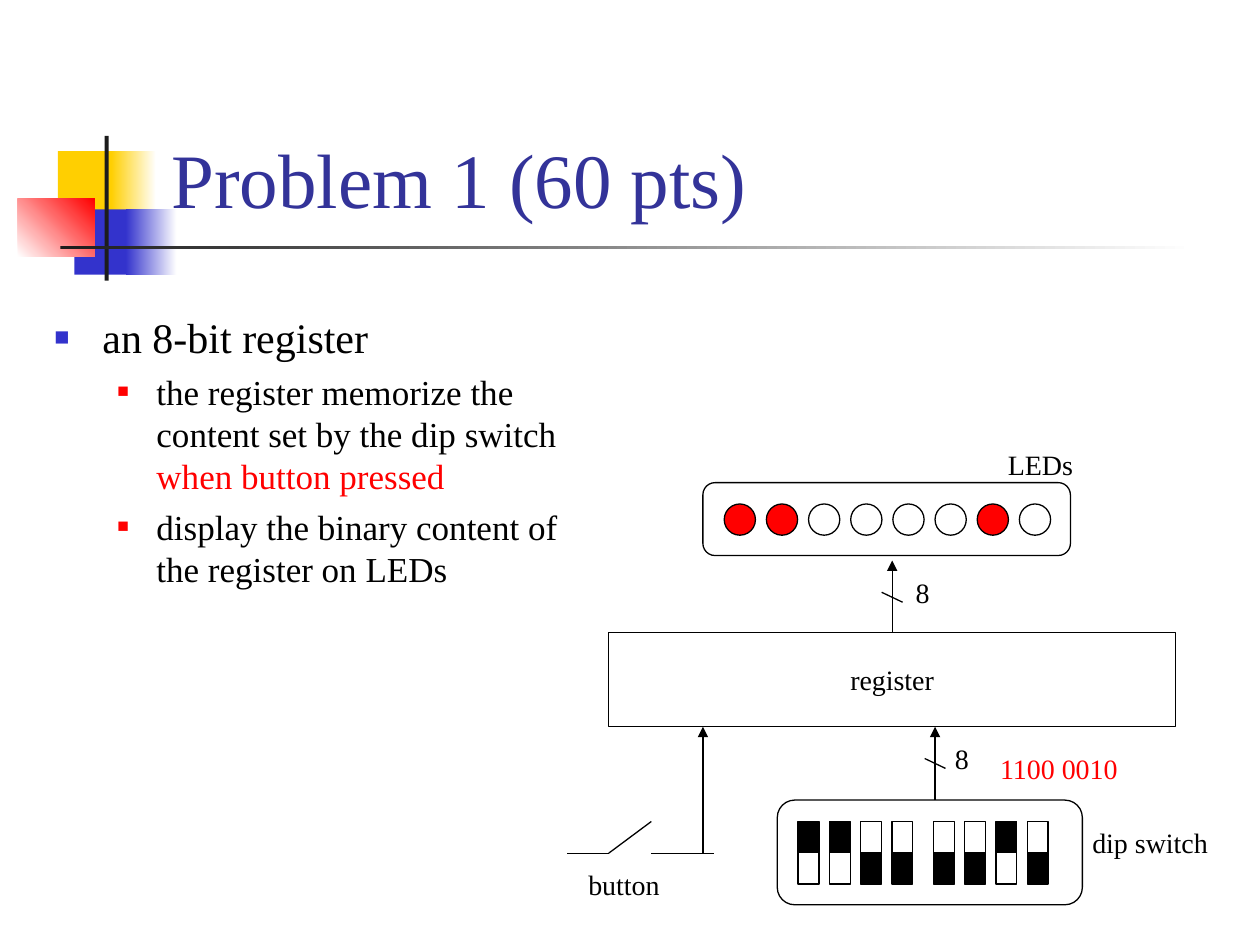
from lxml.etree import SubElement
from pptx import Presentation
from pptx.dml.color import RGBColor
from pptx.enum.shapes import MSO_CONNECTOR, MSO_SHAPE
from pptx.enum.text import MSO_ANCHOR, MSO_AUTO_SIZE, PP_ALIGN
from pptx.oxml.ns import qn
from pptx.util import Cm, Pt

THEME = {
    "font": "Times New Roman",
    "title": 44, "bullets": (24, 20), "label": 16, "line": 0.75,
    "black": "000000", "white": "FFFFFF", "red": "FF0000", "ink": "1C1C1C",
    "blue": "3333CC", "yellow": "FFCF01", "heading": "333399",
}

# Content
TITLE = "Problem 1 (60 pts)"
BULLETS = [  # level, (text, colour) spans
    (0, [("an 8-bit register", "black")]),
    (1, [("the register memorize the content set by the dip switch ", "black"),
         ("when button pressed", "red")]),
    (1, [("display the binary content of the register on LEDs", "black")]),
]
BULLET_STYLE = [  # colour, size %, indent, hanging, space before
    ("blue", 60, 0.97, 0.97, 0),
    ("red", 55, 2.06, 0.79, 5),
]
BITS = "11000010"
LABELS = [  # text, left, top, width, colour
    ("8", 19, 14.83, 0.9, "black"),
    ("8", 18.21, 11.48, 0.9, "black"),
    ("dip switch", 21.77, 16.51, 3.05, "black"),
    ("button", 11.61, 17.36, 2.1, "black"),
    ("LEDs", 20.07, 8.89, 2, "black"),
    ("1100 0010", 19.91, 15.03, 3.05, "red"),
]

# Geometry in centimetres
ORNAMENT = [  # left, top, width, height, colour(s), angle
    (1.17, 3.05, 1.22, 1.32, ["yellow"], 0),
    (2.24, 3.05, 0.91, 1.32, ["yellow", "white"], 0),
    (1.5, 4.22, 1.17, 1.32, ["blue"], 0),
    (2.54, 4.22, 1.02, 1.32, ["blue", "white"], 0),
    (0.36, 4.01, 1.55, 1.17, ["white", "red"], 45),
    (2.11, 2.74, 0.08, 2.92, ["ink"], 0),
    (1.22, 4.95, 22.86, 0.08, ["ink", "white"], 0),
]
REGISTER = (12.27, 12.75, 11.43, 1.9)
REGISTER_BOTTOM = REGISTER[1] + REGISTER[3]
LED_PANEL = (14.17, 9.73, 7.41, 1.47)
DIP_PANEL = (15.67, 16.13, 6.15, 2.11)
LED_LEFT, LED_TOP, LED_SIZE, LED_PITCH = 14.6, 10.16, 0.63, 0.85
SWITCH_LEFT, SWITCH_TOP, SWITCH_WIDTH, SWITCH_HALF = 16.09, 16.56, 0.42, 0.63
DIP_WIRE_X, BUTTON_WIRE_X, BUTTON_Y = 18.85, 14.17, 17.2
BUTTON_LINES = [
    (11.43, BUTTON_Y, 12.27, BUTTON_Y),
    (12.27, BUTTON_Y, 13.13, 16.56),
    (13.13, BUTTON_Y, 14.4, BUTTON_Y),
]


def colour(name):
    return RGBColor.from_string(THEME[name])


def style(span, size, name):
    span.font.name = THEME["font"]
    span.font.size = Pt(size)
    span.font.color.rgb = colour(name)


def place(shape, left, top, width, height):
    shape.left, shape.top = Cm(left), Cm(top)
    shape.width, shape.height = Cm(width), Cm(height)


def add_box(page, kind, at, fill=None, line="black"):
    box = page.shapes.add_shape(kind, *map(Cm, at))
    box.shadow.inherit = False
    if fill:
        box.fill.solid()
        box.fill.fore_color.rgb = colour(fill)
    else:
        box.fill.background()
    if line:
        box.line.color.rgb = colour(line)
        box.line.width = Pt(THEME["line"])
    else:
        box.line.fill.background()
    return box


def add_wire(page, ends, arrow=False):
    wire = page.shapes.add_connector(MSO_CONNECTOR.STRAIGHT, *map(Cm, ends))
    wire.line.color.rgb = colour("black")
    wire.line.width = Pt(THEME["line"])
    if arrow:
        SubElement(wire.line._get_or_add_ln(), qn("a:tailEnd"), type="triangle")
    SubElement(wire._element.spPr, qn("a:effectLst"))
    return wire


def add_bus_mark(page, x, y):
    add_wire(page, (x - 0.21, y - 0.1, x + 0.21, y + 0.1))


def add_ornament(page):
    for *at, names, angle in ORNAMENT:
        box = add_box(page, MSO_SHAPE.RECTANGLE, at, names[0], None)
        if len(names) == 2:
            box.fill.gradient()
            box.fill.gradient_angle = angle
            for stop, name in zip(box.fill.gradient_stops, names):
                stop.color.rgb = colour(name)


def fill_title(title):
    place(title, 3.2, 0.58, 21.64, 4.06)
    frame = title.text_frame
    frame.text = TITLE
    frame.vertical_anchor = MSO_ANCHOR.BOTTOM
    frame.auto_size = MSO_AUTO_SIZE.NONE
    para = frame.paragraphs[0]
    para.alignment = PP_ALIGN.LEFT
    style(para.runs[0], THEME["title"], "heading")


def fill_body(body):
    place(body, 0.84, 6.15, 11.63, 10.59)
    frame = body.text_frame
    frame.auto_size = MSO_AUTO_SIZE.NONE
    for index, (level, spans) in enumerate(BULLETS):
        para = frame.add_paragraph() if index else frame.paragraphs[0]
        para.level = level
        name, percent, indent, hanging, before = BULLET_STYLE[level]
        para.space_before = Pt(before)
        props = para._p.get_or_add_pPr()
        props.set("marL", str(Cm(indent)))
        props.set("indent", str(-Cm(hanging)))
        SubElement(SubElement(props, qn("a:buClr")), qn("a:srgbClr"), val=THEME[name])
        SubElement(props, qn("a:buSzPct"), val=str(percent * 1000))
        SubElement(props, qn("a:buFont"), typeface=THEME["font"])
        SubElement(props, qn("a:buChar"), char="■")
        for text, ink in spans:
            span = para.add_run()
            span.text = text
            style(span, THEME["bullets"][level], ink)


def add_diagram(page):
    # Register
    register = add_box(page, MSO_SHAPE.RECTANGLE, REGISTER)
    frame = register.text_frame
    frame.text = "register"
    frame.word_wrap = False
    frame.vertical_anchor = MSO_ANCHOR.MIDDLE
    frame.paragraphs[0].alignment = PP_ALIGN.CENTER
    style(frame.paragraphs[0].runs[0], THEME["label"], "black")

    # Panels with one LED and one switch per bit
    for panel in (LED_PANEL, DIP_PANEL):
        add_box(page, MSO_SHAPE.ROUNDED_RECTANGLE, panel)
    for index, bit in enumerate(BITS):
        on = bit == "1"
        led_x = LED_LEFT + index * LED_PITCH
        add_box(page, MSO_SHAPE.OVAL, (led_x, LED_TOP, LED_SIZE, LED_SIZE),
                "red" if on else None)
        # Pitch is 1.5 widths, with another half width between the nibbles
        switch_x = SWITCH_LEFT + SWITCH_WIDTH * (1.5 * index + 0.5 * (index // 4))
        for half, filled in enumerate((on, not on)):
            add_box(page, MSO_SHAPE.RECTANGLE,
                    (switch_x, SWITCH_TOP + half * SWITCH_HALF, SWITCH_WIDTH, SWITCH_HALF),
                    "black" if filled else None)

    # Buses and button wiring
    middle = REGISTER[0] + REGISTER[2] / 2
    led_wire = add_wire(page, (middle, REGISTER[1], middle, 11.3), arrow=True)
    led_wire.begin_connect(register, 0)
    add_bus_mark(page, middle, 12.04)
    add_wire(page, (DIP_WIRE_X, DIP_PANEL[1], DIP_WIRE_X, REGISTER_BOTTOM), arrow=True)
    add_bus_mark(page, DIP_WIRE_X, 15.39)
    for ends in BUTTON_LINES:
        add_wire(page, ends)
    add_wire(page, (BUTTON_WIRE_X, BUTTON_Y, BUTTON_WIRE_X, REGISTER_BOTTOM), arrow=True)

    # Labels, each wide enough for a single line
    for text, left, top, width, name in LABELS:
        box = page.shapes.add_textbox(Cm(left), Cm(top), Cm(width), Cm(0.94))
        box.text_frame.text = text
        box.text_frame.word_wrap = True
        box.text_frame.auto_size = MSO_AUTO_SIZE.NONE
        style(box.text_frame.paragraphs[0].runs[0], THEME["label"], name)


def main():
    deck = Presentation()
    deck.slide_width, deck.slide_height = Cm(25.4), Cm(19.05)
    page = deck.slides.add_slide(deck.slide_layouts[1])
    title, body = page.shapes.title, page.placeholders[1]
    add_ornament(page)
    for holder in (title, body):  # text goes in front of the ornament
        page.shapes.element.append(holder.element)
    fill_title(title)
    fill_body(body)
    add_diagram(page)
    deck.save("out.pptx")


if __name__ == "__main__":
    main()
